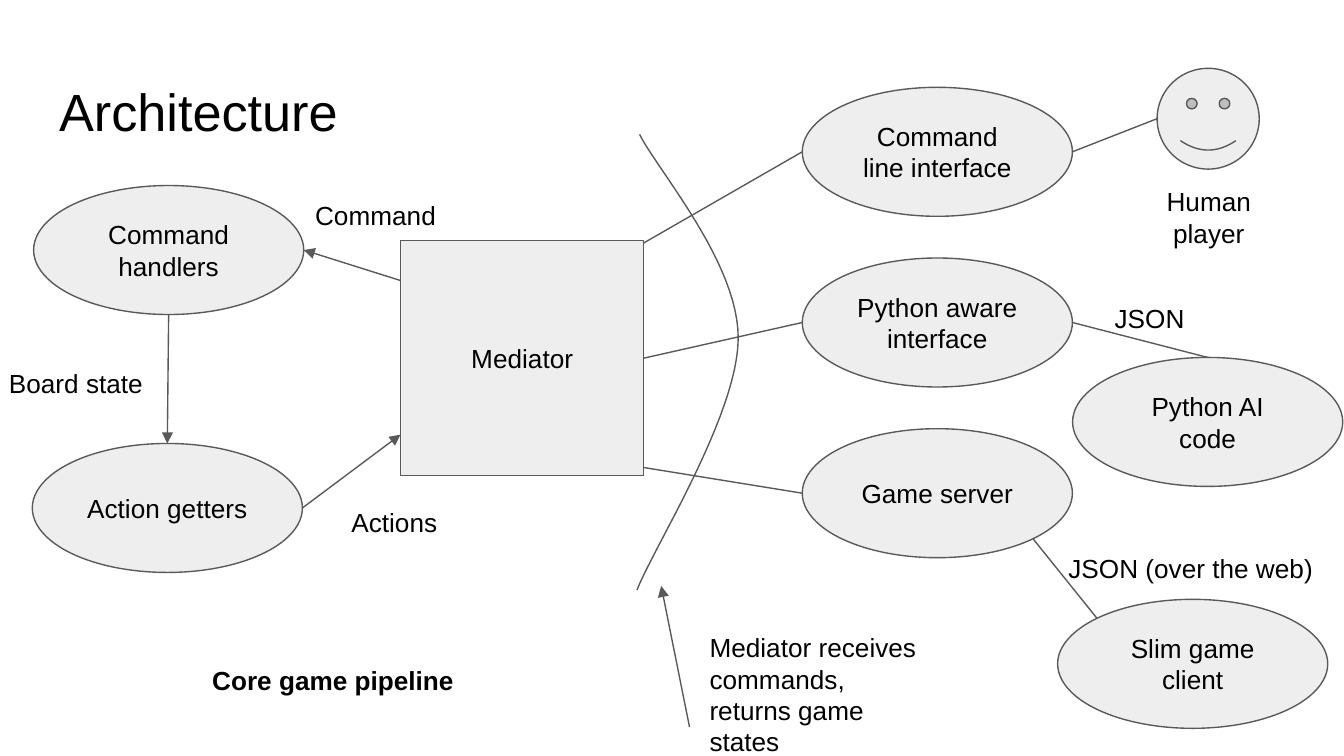
from lxml.etree import SubElement
from pptx import Presentation
from pptx.dml.color import RGBColor
from pptx.enum.shapes import MSO_CONNECTOR, MSO_SHAPE
from pptx.enum.text import MSO_ANCHOR, PP_ALIGN
from pptx.oxml.ns import qn
from pptx.util import Pt

COLORS = {"fill": "EEEEEE", "line": "595959", "text": "000000"}
FONT = "Arial"
TITLE = ("Architecture", (24.5, 35.3, 671, 45.4))

OVAL = (144.7, 69.1)
ROW_TOP, ROW_STEP = 46.8, 91.44
INTERFACE_LEFT = 429.8
INTERFACES = ["Command line interface", "Python aware interface", "Game server"]
OTHER_OVALS = [
    ("Slim game client", 566.6, ROW_TOP + 3 * ROW_STEP),
    ("Python AI code", 574.6, 191.5),
    ("Command handlers", 18, 99.4),
    ("Action getters", 17.3, 237.6),
]
MEDIATOR = ("Mediator", (214.6, 128.9, 130.3, 126))
FACE = ("Human", (619.9, 36.6, 54.7, 54))

LABELS = [
    ("JSON", (584.6, 154.8, 62.6, 27.4), PP_ALIGN.CENTER, False),
    ("JSON (over the web)", (560.9, 288.7, 154.1, 27.4), PP_ALIGN.CENTER, False),
    ("Command", (151.9, 99.4, 98.6, 27.4), PP_ALIGN.CENTER, False),
    ("Board state", (-8.6, 189.4, 98.6, 27.4), PP_ALIGN.CENTER, False),
    ("Actions", (162, 264.2, 98.6, 27.4), PP_ALIGN.CENTER, False),
    ("Human player", (616.3, 92.2, 62.6, 27.4), PP_ALIGN.CENTER, False),
    ("Mediator receives commands, returns game states",
     (373, 331.2, 130.3, 85), PP_ALIGN.LEFT, False),
    ("Core game pipeline", (106.6, 348.5, 203.8, 49), PP_ALIGN.LEFT, True),
]

TOP, LEFT, BOTTOM, RIGHT = (0, -1), (-1, 0), (0, 1), (1, 0)
LOWER_RIGHT, UPPER_LEFT = (0.71, 0.71), (-0.71, -0.71)
LINKS = [
    ("Mediator", (1, -0.98), "Command line interface", LEFT, False),
    ("Mediator", RIGHT, "Python aware interface", LEFT, False),
    ("Mediator", (1, 0.93), "Game server", LEFT, False),
    ("Command line interface", RIGHT, "Human", LEFT, False),
    ("Python aware interface", RIGHT, "Python AI code", TOP, False),
    ("Game server", LOWER_RIGHT, "Slim game client", UPPER_LEFT, False),
    ("Mediator", (-1, -0.66), "Command handlers", RIGHT, True),
    ("Command handlers", BOTTOM, "Action getters", TOP, True),
    ("Action getters", RIGHT, "Mediator", (-1, 0.65), True),
]
NOTE_ARROW = ((369.4, 389.5), (354.2, 313.9))
BOUNDARY = [
    ((342.7, 72), (351.4, 90), (396, 141.1), (395.5, 181.4)),
    ((395.5, 181.4), (395.3, 222.5), (349.9, 293.8), (341.3, 316.1)),
]
CURVE_STEPS = 24


def color(name):
    return RGBColor.from_string(COLORS[name])


def write(shape, wording, align, anchor, size=14, bold=False):
    frame = shape.text_frame
    frame.text = wording
    frame.word_wrap = True
    frame.vertical_anchor = anchor
    frame.margin_left = frame.margin_right = Pt(7.2)
    frame.margin_top = frame.margin_bottom = Pt(7.2)
    paragraph = frame.paragraphs[0]
    paragraph.alignment = align
    font = paragraph.runs[0].font
    font.name, font.size, font.bold = FONT, Pt(size), bold
    font.color.rgb = color("text")


def outline(shape):
    shape.line.color.rgb = color("line")
    shape.line.width = Pt(0.75)


def add_node(slide, preset, box, wording=""):
    node = slide.shapes.add_shape(preset, *map(Pt, box))
    node.shadow.inherit = False
    node.fill.solid()
    node.fill.fore_color.rgb = color("fill")
    outline(node)
    if wording:
        write(node, wording, PP_ALIGN.CENTER, MSO_ANCHOR.MIDDLE)
    return node


def anchor_point(box, direction):
    left, top, width, height = box
    return (left + width * (1 + direction[0]) / 2,
            top + height * (1 + direction[1]) / 2)


def add_link(slide, start, end, arrow):
    link = slide.shapes.add_connector(MSO_CONNECTOR.STRAIGHT, *map(Pt, start + end))
    outline(link)
    if arrow:
        SubElement(link.line._get_or_add_ln(), qn("a:tailEnd"), type="triangle")
    SubElement(link._element.spPr, qn("a:effectLst"))
    return link


def bezier(points, t):
    weights = ((1 - t) ** 3, 3 * t * (1 - t) ** 2, 3 * t ** 2 * (1 - t), t ** 3)
    return tuple(Pt(sum(w * p[axis] for w, p in zip(weights, points))) for axis in (0, 1))


def add_boundary(slide):
    builder = slide.shapes.build_freeform(*map(Pt, BOUNDARY[0][0]))
    builder.add_line_segments(
        [bezier(part, step / CURVE_STEPS)
         for part in BOUNDARY for step in range(1, CURVE_STEPS + 1)], close=False)
    boundary = builder.convert_to_shape()
    boundary.shadow.inherit = False
    boundary.fill.background()
    outline(boundary)


def main():
    """Build the architecture slide."""
    deck = Presentation()
    deck.slide_width, deck.slide_height = Pt(720), Pt(405)
    slide = deck.slides.add_slide(deck.slide_layouts[5])

    title = slide.shapes.title
    wording, box = TITLE
    title.left, title.top, title.width, title.height = map(Pt, box)
    write(title, wording, PP_ALIGN.LEFT, MSO_ANCHOR.TOP, size=28)

    ovals = [(name, INTERFACE_LEFT, ROW_TOP + row * ROW_STEP)
             for row, name in enumerate(INTERFACES)] + OTHER_OVALS
    boxes = {name: (left, top, *OVAL) for name, left, top in ovals}
    for name, box in boxes.items():
        add_node(slide, MSO_SHAPE.OVAL, box, name)
    mediator = add_node(slide, MSO_SHAPE.RECTANGLE, MEDIATOR[1], MEDIATOR[0])
    add_node(slide, MSO_SHAPE.SMILEY_FACE, FACE[1])
    boxes.update([MEDIATOR, FACE])

    for source, exit_side, target, entry_side, arrow in LINKS:
        link = add_link(slide, anchor_point(boxes[source], exit_side),
                        anchor_point(boxes[target], entry_side), arrow)
        if (source, exit_side) == ("Mediator", RIGHT):
            link.begin_connect(mediator, 3)
    add_link(slide, *NOTE_ARROW, True)
    add_boundary(slide)

    for wording, box, align, bold in LABELS:
        label = slide.shapes.add_textbox(*map(Pt, box))
        write(label, wording, align, MSO_ANCHOR.TOP, bold=bold)

    deck.save("out.pptx")


if __name__ == "__main__":
    main()
